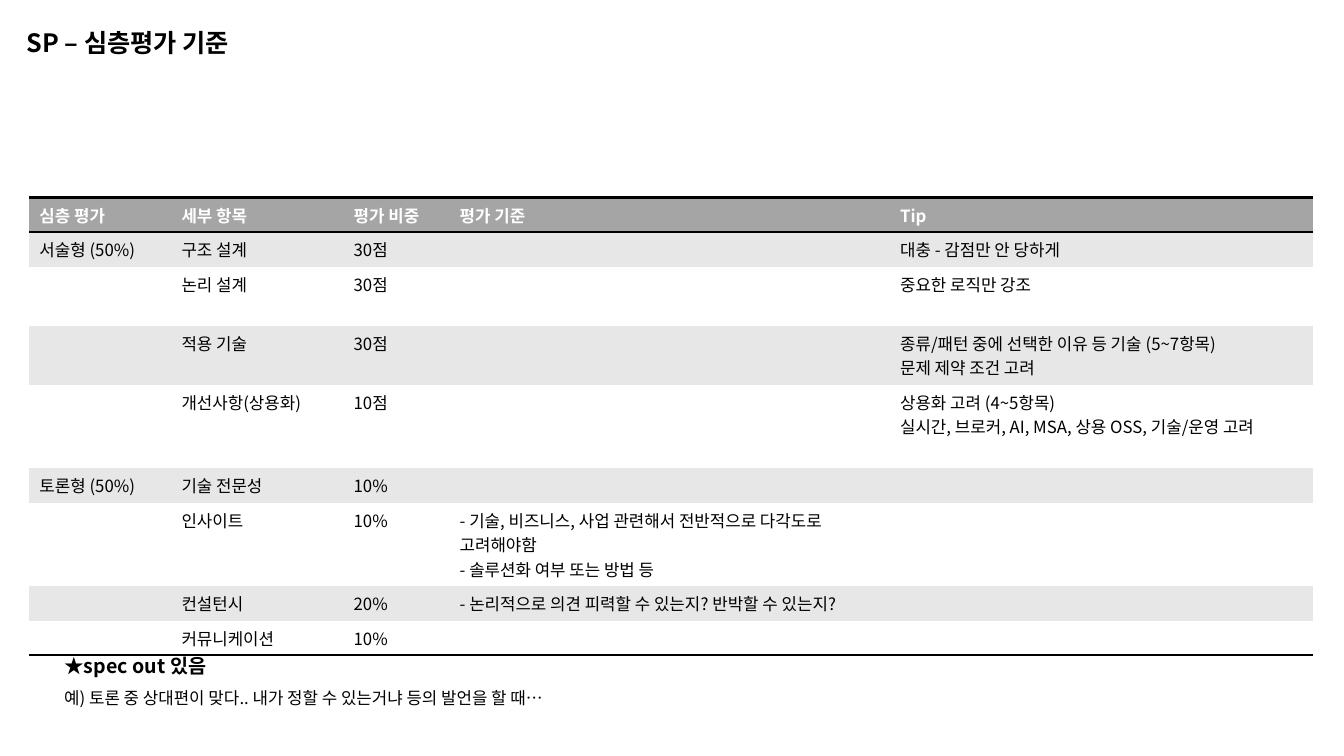
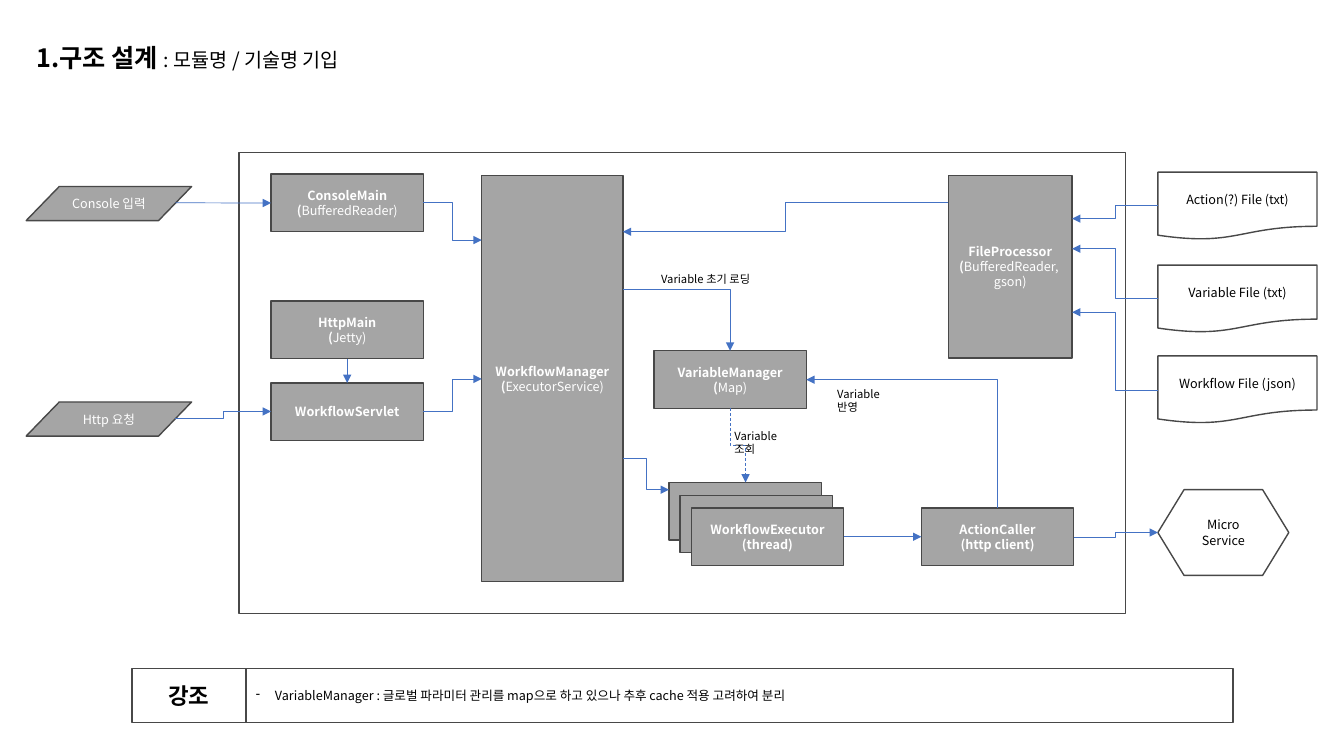
import dataclasses
import lxml.etree
import pptx
import pptx.dml.color
import pptx.enum.dml
import pptx.enum.shapes
import pptx.enum.text
import pptx.oxml.ns
import pptx.util

Cm = pptx.util.Cm
Pt = pptx.util.Pt
qn = pptx.oxml.ns.qn
Shape = pptx.enum.shapes.MSO_SHAPE
Link = pptx.enum.shapes.MSO_CONNECTOR
Align = pptx.enum.text.PP_ALIGN
Anchor = pptx.enum.text.MSO_ANCHOR


@dataclasses.dataclass(frozen=True)
class Theme:
    font: str = "Noto Sans CJK KR"
    black: str = "000000"
    white: str = "FFFFFF"
    gray: str = "A5A5A5"
    band: str = "E7E7E7"
    edge: str = "484848"
    blue: str = "4472C4"
    title: float = 18
    head: float = 16
    sub: float = 14
    body: float = 12
    small: float = 9
    label: float = 8


THEME = Theme()
NO_STYLE = "{2D5ABB26-0587-4C30-8999-92F81FD0307C}"
COLS = (3.58, 4.34, 2.67, 11.1, 10.67)
ROWS = (
    (0.87, "심층 평가", "세부 항목", "평가 비중", "평가 기준", "Tip"),
    (0.87, "서술형 (50%)", "구조 설계", "30점", "", "대충 - 감점만 안 당하게"),
    (1.49, "", "논리 설계", "30점", "", "중요한 로직만 강조"),
    (1.49, "", "적용 기술", "30점", "",
     "종류/패턴 중에 선택한 이유 등 기술 (5~7항목)\n문제 제약 조건 고려"),
    (2.1, "", "개선사항(상용화)", "10점", "",
     "상용화 고려 (4~5항목)\n실시간, 브로커, AI, MSA, 상용 OSS, 기술/운영 고려"),
    (0.87, "토론형 (50%)", "기술 전문성", "10%", "", ""),
    (2.1, "", "인사이트", "10%",
     "- 기술, 비즈니스, 사업 관련해서 전반적으로 다각도로 고려해야함\n"
     "- 솔루션화 여부 또는 방법 등", ""),
    (0.87, "", "컨설턴시", "20%",
     "- 논리적으로 의견 피력할 수 있는지? 반박할 수 있는지?", ""),
    (0.87, "", "커뮤니케이션", "10%", "", ""),
)


def rgb(code):
    return pptx.dml.color.RGBColor.from_string(code)


def put(item, form):
    for key, value in form.items():
        setattr(item, key, value)


def add(node, tag, **form):
    return lxml.etree.SubElement(node, qn(tag), form)


def write(frame, text, sizes, color=THEME.black, **form):
    sizes = list(sizes)
    for row, line in enumerate(text.split("\n")):
        par = frame.paragraphs[0] if row == 0 else frame.add_paragraph()
        put(par, form)
        for turn, part in enumerate(line.split("*")):
            if not part:
                continue
            run = par.add_run()
            run.text = part
            size = sizes.pop(0) if len(sizes) > 1 else sizes[0]
            put(run.font, {"size": Pt(size), "bold": turn % 2 == 1,
                           "name": THEME.font})
            run.font.color.rgb = rgb(color)
            add(run._r.get_or_add_rPr(), "a:ea", typeface=THEME.font)


def place(shape, left, top, width, height):
    put(shape, {"left": Cm(left), "top": Cm(top),
                "width": Cm(width), "height": Cm(height)})


def title(slide, left, text, sizes, space):
    shape = slide.shapes.title
    place(shape, left, 0.56, 29.1, 1.27)
    put(shape.text_frame, {"word_wrap": True, "vertical_anchor": Anchor.TOP,
                           "auto_size": pptx.enum.text.MSO_AUTO_SIZE.NONE})
    write(shape.text_frame, text, sizes, alignment=Align.LEFT,
          line_spacing=space)


def note(slide, area, text, sizes, **form):
    frame = slide.shapes.add_textbox(*map(Cm, area)).text_frame
    frame.word_wrap = True
    write(frame, text, sizes, **form)


def box(slide, area, text="", fill=THEME.gray, kind=Shape.RECTANGLE,
        size=THEME.small, align=Align.CENTER):
    shape = slide.shapes.add_shape(kind, *map(Cm, area))
    shape.shadow.inherit = False
    if fill:
        shape.fill.solid()
        shape.fill.fore_color.rgb = rgb(fill)
    else:
        shape.fill.background()
    shape.line.color.rgb = rgb(THEME.edge)
    shape.line.width = Pt(1)
    put(shape.text_frame, {"word_wrap": True, "vertical_anchor": Anchor.MIDDLE})
    write(shape.text_frame, text, [size], THEME.white if fill else THEME.black,
          alignment=align)
    return shape


def dash(shape):
    form = shape.text_frame.paragraphs[0]._p.get_or_add_pPr()
    put_in = Cm(0.48)
    form.set("marL", str(put_in))
    form.set("indent", str(-put_in))
    add(form, "a:buChar", char="-")


def link(slide, ends, kind=Link.ELBOW, turn=0, bend=True, dashed=False):
    x1, y1, x2, y2 = ends
    if turn:
        mid_x, mid_y = (x1 + x2) / 2, (y1 + y2) / 2
        half_w, half_h = abs(y2 - y1) / 2, abs(x2 - x1) / 2
        ends = (mid_x - half_w, mid_y + half_h, mid_x + half_w, mid_y - half_h)
    line = slide.shapes.add_connector(kind, *map(Cm, ends))
    line.line.color.rgb = rgb(THEME.blue)
    line.line.width = Pt(0.5)
    if dashed:
        line.line.dash_style = pptx.enum.dml.MSO_LINE.DASH
    form = line.element.spPr
    add(form.find(qn("a:ln")), "a:tailEnd", type="triangle")
    add(form, "a:effectLst")
    if turn:
        form.find(qn("a:xfrm")).set("rot", str(turn * 60000))
    if not bend:
        form.find(qn("a:prstGeom")).set("prst", "bentConnector2")
    return line


def join(slide, start, end, out, into):
    line = link(slide, (0, 0, 1, 1), Link.STRAIGHT)
    line.begin_connect(start, out)
    line.end_connect(end, into)


def rule(cell, tag):
    edge = lxml.etree.Element(qn(tag), w=str(Pt(2)))
    add(add(edge, "a:solidFill"), "a:srgbClr", val=THEME.black)
    cell._tc.get_or_add_tcPr().insert(0, edge)


def grid(slide):
    high = sum(row[0] for row in ROWS)
    table = slide.shapes.add_table(
        len(ROWS), len(COLS), Cm(0.74), Cm(4.98), Cm(sum(COLS)), Cm(high)).table
    put(table, {"first_row": False, "horz_banding": False})
    table._tbl.tblPr.find(qn("a:tableStyleId")).text = NO_STYLE
    for col, width in zip(table.columns, COLS):
        col.width = Cm(width)
    last = len(ROWS) - 1
    for row, (height, *texts) in enumerate(ROWS):
        table.rows[row].height = Cm(height)
        fill = THEME.band if row % 2 else THEME.white
        for col, text in enumerate(texts):
            cell = table.cell(row, col)
            cell.fill.solid()
            cell.fill.fore_color.rgb = rgb(fill if row else THEME.gray)
            if row in (0, last):
                rule(cell, "a:lnB")
            if row == 0:
                rule(cell, "a:lnT")
                write(cell.text_frame, f"*{text}*", [THEME.body], THEME.white)
            elif text:
                write(cell.text_frame, text, [THEME.body])
            else:
                add(cell.text_frame.paragraphs[0]._p, "a:endParaRPr",
                    sz=str(THEME.body * 100))


def score(slide):
    title(slide, 0.41, "*SP – 심층평가 기준*", [THEME.title], 1)
    grid(slide)
    note(slide, (1.37, 16.05, 15.5, 1.83),
         "*★spec out 있음*\n예) 토론 중 상대편이 맞다.. 내가 정할 수 있는거냐 등의 발언을 할 때…",
         [THEME.sub, THEME.body], line_spacing=1.5)


def design(slide):
    title(slide, 0.66, "*1.구조 설계 *: 모듈명 / 기술명 기입",
          [THEME.title, THEME.sub], 1.5)
    box(slide, (6.02, 3.84, 22.35, 11.62), fill=None)
    dash(box(slide, (6.2, 16.84, 24.87, 1.37),
             "VariableManager : 글로벌 파라미터 관리를 map으로 하고 있으나 "
             "추후 cache 적용 고려하여 분리", None, align=Align.LEFT))
    box(slide, (3.33, 16.84, 2.87, 1.37), "*강조*", None, size=THEME.head)

    for top, text in ((10.13, "Http 요청"), (4.7, "Console 입력")):
        box(slide, (0.66, top, 4.17, 0.86), text, kind=Shape.FLOWCHART_DATA)
    for top, text in ((4.34, "Action(?) File (txt)"),
                      (6.68, "Variable File (txt)"),
                      (8.97, "Workflow File (json)")):
        box(slide, (29.18, top, 4.01, 1.7), text, None, Shape.FLOWCHART_DOCUMENT)
    box(slide, (29.18, 12.34, 3.3, 2.16), "Micro\nService", None,
        Shape.FLOWCHART_PREPARATION)

    unit = (3.84, 1.45)
    main_box, http, serve = (
        box(slide, (6.83, top, *unit), text) for top, text in (
            (4.39, "*ConsoleMain*\n*(*BufferedReader)"),
            (7.59, "*HttpMain*\n*(*Jetty)"),
            (9.65, "*WorkflowServlet*")))
    box(slide, (12.14, 4.42, 3.56, 10.24),
        "*WorkflowManager*\n*(*ExecutorService)")
    box(slide, (23.9, 4.42, 3.12, 4.6),
        "*FileProcessor*\n*(*BufferedReader, \ngson)")
    box(slide, (16.48, 8.84, *unit), "*VariableManager*\n*(*Map)")
    for step, text in enumerate(("", "", "*WorkflowExecutor*\n*(thread)*")):
        work = box(slide, (16.86 + step * 0.28, 12.16 + step * 0.32, *unit), text)
    call = box(slide, (23.22, 12.8, *unit), "*ActionCaller*\n*(http client)*")

    join(slide, http, serve, 2, 0)
    join(slide, work, call, 3, 1)
    link(slide, (4.42, 5.11, 6.83, 5.11), Link.STRAIGHT).end_connect(main_box, 1)
    for ends in ((4.42, 10.54, 6.83, 10.37),
                 (10.67, 10.37, 12.14, 9.55),
                 (10.67, 5.11, 12.14, 6.05),
                 (29.18, 5.18, 27.02, 5.51),
                 (29.18, 7.52, 27.02, 6.27),
                 (29.18, 9.83, 27.02, 7.87),
                 (23.9, 5.11, 15.7, 5.84),
                 (15.7, 11.56, 16.86, 12.34),
                 (27.06, 13.53, 29.18, 13.42)):
        link(slide, ends)
    link(slide, (15.7, 7.29, 18.4, 8.84), bend=False)
    link(slide, (18.4, 10.29, 18.79, 12.16), turn=90, dashed=True)
    link(slide, (25.14, 12.8, 20.32, 9.57), turn=270, bend=False)

    for left, top, width, text in ((16.41, 6.73, 3.3, "Variable 초기 로딩"),
                                   (18.26, 10.69, 2, "Variable 조회"),
                                   (20.85, 9.63, 2, "Variable 반영")):
        note(slide, (left, top, width, 0.61), text, [THEME.label])


def main():
    deck = pptx.Presentation()
    put(deck, {"slide_width": Cm(33.87), "slide_height": Cm(19.05)})
    for draw in (score, design):
        draw(deck.slides.add_slide(deck.slide_layouts[5]))
    deck.save("out.pptx")


if __name__ == "__main__":
    main()
